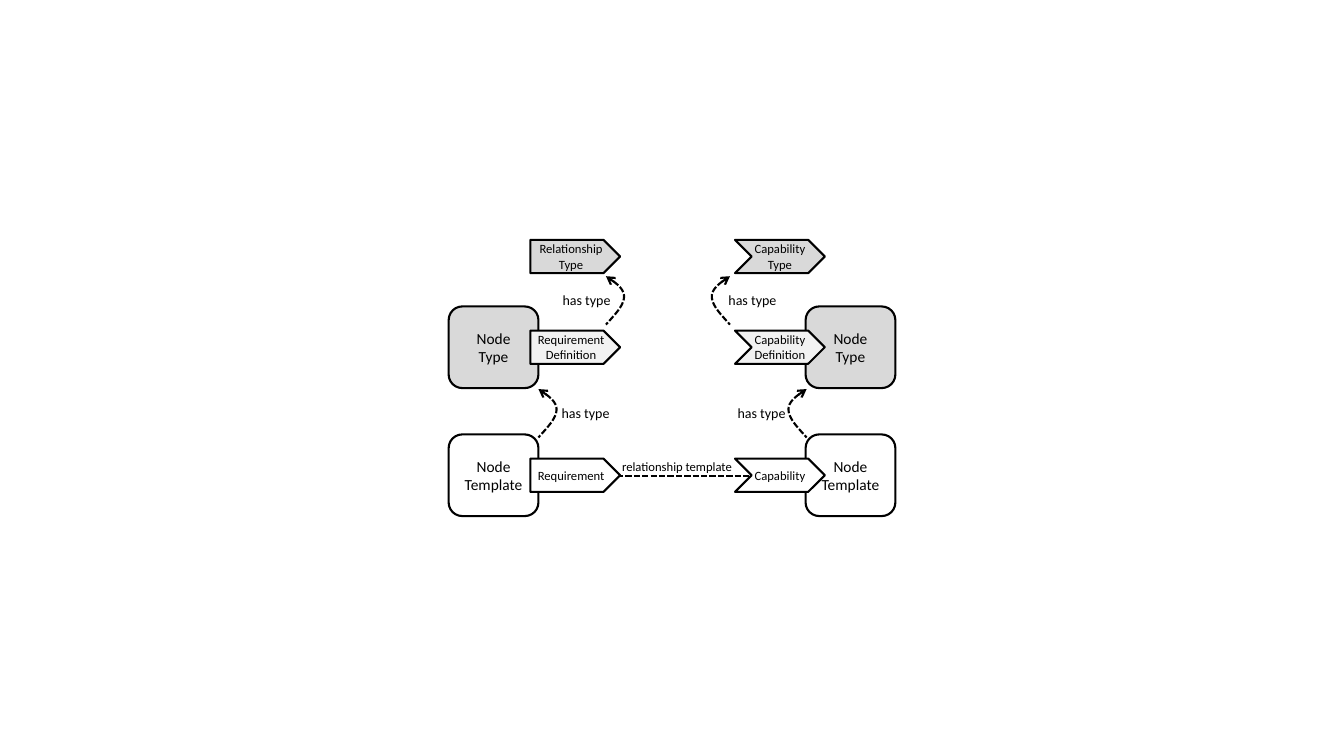
from lxml import etree
from pptx import Presentation
from pptx.dml.color import RGBColor
from pptx.enum import dml, shapes, text
from pptx.oxml.ns import qn
from pptx.util import Inches, Pt

NODE, PLATE, CHEVRON = (shapes.MSO_SHAPE.ROUNDED_RECTANGLE,
                        shapes.MSO_SHAPE.PENTAGON, shapes.MSO_SHAPE.CHEVRON)
NODE_SIZE, TAG_SIZE = (0.89, 0.81), (0.89, 0.33)
NODE_LEFTS = (4.45, 7.99)
TAGS = ((PLATE, 5.26), (CHEVRON, 7.29))
TAG_DROP = 0.24  # from the top of a node to the top of its tag

# node top, node text, node fill, tag texts, tag fill
NODE_ROWS = [
    (4.31, "Node Template", "FFFFFF", ("Requirement", "Capability"), "FFFFFF"),
    (3.04, "Node\nType", "D9D9D9",
     ("Requirement Definition", "Capability Definition"), "F2F2F2"),
]
TYPE_TOP, TYPE_TEXTS = 2.38, ("Relationship Type", "Capability Type")

# arrow tip x, tip y, bulge direction, label left, label alignment
HAS_TYPE = [
    (5.34, 3.86, 1, 5.57, text.PP_ALIGN.LEFT),
    (8.00, 3.86, -1, 7.24, text.PP_ALIGN.RIGHT),
    (6.01, 2.74, 1, 5.58, text.PP_ALIGN.LEFT),
    (7.24, 2.74, -1, 7.15, text.PP_ALIGN.RIGHT),
]
# Bezier pieces of the arrow, relative to its tip
CURVES = [((0, 0), (0.09, 0.06), (0.18, 0.12), (0.18, 0.2)),
          ((0.18, 0.2), (0.18, 0.29), (0.09, 0.38), (0, 0.48))]
STEPS = 12


def color(hex_string):
    """Turn a hex string into a colour."""
    return RGBColor.from_string(hex_string)


def set_fill(shape, hex_string):
    """Give a shape a solid fill and no shadow."""
    shape.shadow.inherit = False
    shape.fill.solid()
    shape.fill.fore_color.rgb = color(hex_string)


def set_line(shape, dashed=False):
    """Give a shape or connector a black outline."""
    shape.line.color.rgb = color("000000")
    shape.line.width = Pt(1.5)
    if dashed:
        shape.line.dash_style = dml.MSO_LINE.SQUARE_DOT


def write(shape, words, size, align, margin=0.0):
    """Fill in the text, one paragraph for each line of words."""
    frame = shape.text_frame
    frame.text = words
    frame.word_wrap = True
    frame.margin_left = frame.margin_right = 0
    frame.margin_top = frame.margin_bottom = Inches(margin)
    frame.vertical_anchor = (text.MSO_ANCHOR.MIDDLE if margin
                             else text.MSO_ANCHOR.TOP)
    for paragraph in frame.paragraphs:
        paragraph.alignment = align
        paragraph.font.name = "Calibri"
        paragraph.font.size = Pt(size)
        paragraph.font.color.rgb = color("000000")


def add_box(kind, left, top, dimensions, fill, words, size):
    """Add an outlined shape with centred text."""
    box = diagram.add_shape(kind, *map(Inches, (left, top, *dimensions)))
    set_fill(box, fill)
    set_line(box)
    write(box, words, size, text.PP_ALIGN.CENTER, 0.05)


def add_tags(top, texts, fill):
    """Add the left and right tag of one row."""
    for (kind, left), words in zip(TAGS, texts):
        add_box(kind, left, top, TAG_SIZE, fill, words, 9)


def bezier(curve, t):
    """Return the point of a cubic curve at t."""
    weights = ((1 - t) ** 3, 3 * t * (1 - t) ** 2, 3 * t * t * (1 - t), t ** 3)
    return [sum(w * point[axis] for w, point in zip(weights, curve))
            for axis in (0, 1)]


def add_curved_arrow(x, y, direction):
    """Add a dashed curve whose arrowhead sits at x, y."""
    offsets = [bezier(curve, step / STEPS)
               for curve in CURVES for step in range(1, STEPS + 1)]
    builder = diagram.build_freeform(Inches(x), Inches(y))
    builder.add_line_segments([(Inches(x + direction * dx), Inches(y + dy))
                               for dx, dy in offsets], close=False)
    arrow = builder.convert_to_shape()
    set_fill(arrow, "FFFFFF")
    set_line(arrow, dashed=True)
    outline = arrow.line.fill._xPr
    etree.SubElement(outline, qn("a:headEnd"), type="arrow")


presentation = Presentation()
presentation.slide_width, presentation.slide_height = Inches(13.33), Inches(7.5)
slide = presentation.slides.add_slide(presentation.slide_layouts[6])
diagram = slide.shapes.add_group_shape().shapes

relationship = diagram.add_connector(
    shapes.MSO_CONNECTOR.STRAIGHT, *map(Inches, (4.95, 4.72, 8.47, 4.72)))
set_line(relationship, dashed=True)
etree.SubElement(relationship._element.spPr, qn("a:effectLst"))

for top, node_text, node_fill, tag_texts, tag_fill in NODE_ROWS:
    for left in NODE_LEFTS:
        add_box(NODE, left, top, NODE_SIZE, node_fill, node_text, 11)
    add_tags(top + TAG_DROP, tag_texts, tag_fill)
add_tags(TYPE_TOP, TYPE_TEXTS, "D9D9D9")

for x, y, direction, label_left, align in HAS_TYPE:
    add_curved_arrow(x, y, direction)
    label = diagram.add_shape(shapes.MSO_SHAPE.RECTANGLE, Inches(label_left),
                              Inches(y + 0.15), Inches(0.55), Inches(0.17))
    set_fill(label, "FFFFFF")
    label.line.fill.background()
    write(label, "has type", 10, align)

caption = diagram.add_textbox(*map(Inches, (6.17, 4.55, 1.28, 0.15)))
write(caption, "relationship template", 9, text.PP_ALIGN.LEFT)

presentation.save("out.pptx")
